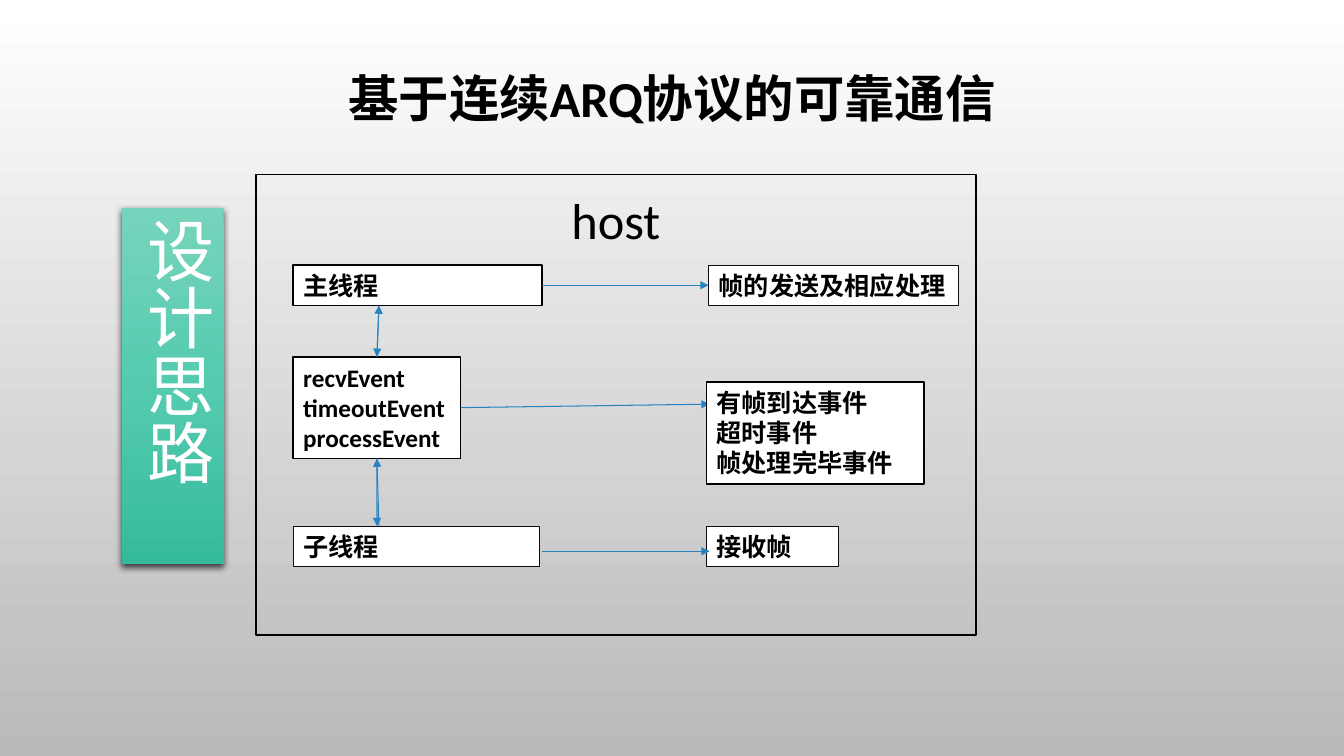
from dataclasses import dataclass

from lxml.etree import _Element
from pptx import Presentation
from pptx.dml.color import RGBColor
from pptx.dml.fill import FillFormat
from pptx.enum.shapes import MSO_CONNECTOR, MSO_SHAPE
from pptx.enum.text import MSO_ANCHOR, MSO_AUTO_SIZE, PP_ALIGN
from pptx.oxml import parse_xml
from pptx.oxml.ns import nsdecls, qn
from pptx.shapes.autoshape import Shape
from pptx.slide import Slide
from pptx.util import Pt

RECT = MSO_SHAPE.RECTANGLE
STRAIGHT = MSO_CONNECTOR.STRAIGHT
TOP = MSO_ANCHOR.TOP
GROW = MSO_AUTO_SIZE.SHAPE_TO_FIT_TEXT
FIXED = MSO_AUTO_SIZE.NONE
LEFT, CENTER = PP_ALIGN.LEFT, PP_ALIGN.CENTER
SITE_TOP, SITE_LEFT, SITE_BOTTOM, SITE_RIGHT = range(4)

FONT = "Calibri"
COLORS = {
    "black": "000000", "white": "FFFFFF", "edge": "0D0D0D", "arrow": "2683BF",
    "gray": "B9B9B9", "mint": "77D4BC", "jade": "54CBAF", "teal": "36BA9C",
}
THIN, THICK = 0.75, 1.25
LINE, PAD = 21.8, 7.2  # height of a text line, sum of the insets

Point = tuple[float, float]


@dataclass
class Box:
    name: str
    left: float
    top: float
    width: float
    lines: list[str]
    edge: str = "edge"
    weight: float = THIN


@dataclass
class Arrow:
    start: Point
    end: Point
    source: tuple[str, int] | None = None
    target: tuple[str, int] | None = None


BOXES = [
    Box("main", 209.5, 189.3, 177.8, ["主线程"], "black", THICK),
    Box("send", 506.2, 189.3, 178.6, ["帧的发送及相应处理"]),
    Box("receive", 504.7, 375.8, 94.3, ["接收帧"]),
    Box("child", 209.5, 375.8, 175.7, ["子线程"]),
    Box("events", 209.5, 254.9, 119.5,
        ["recvEvent", "timeoutEvent", "processEvent"], "black", THICK),
]
MEANING = Box("meaning", 504.7, 272.9, 155.5,
              ["有帧到达事件", "超时事件", "帧处理完毕事件"], "black", THICK)

MID, SIDE = 269.3, 270.7
ARROWS = [
    Arrow((387.3, 203), (506.2, 203.8), ("main", SITE_RIGHT), ("send", SITE_LEFT)),
    Arrow((387.3, 393.8), (506.9, 393.8)),
    Arrow((329, 291.6), (506.9, 288.7), ("events", SITE_RIGHT)),
    Arrow((SIDE, 218.2), (MID, 254.9), None, ("events", SITE_TOP)),
    Arrow((MID, 254.9), (SIDE, 218.2), ("events", SITE_TOP)),
    Arrow((MID, 327.6), (MID, 375.8), ("events", SITE_BOTTOM)),
    Arrow((SIDE, 375.8), (MID, 327.6), None, ("events", SITE_BOTTOM)),
]


def color(name: str) -> RGBColor:
    return RGBColor.from_string(COLORS[name])


def shade(fill: FillFormat, root: _Element, names: list[str]) -> None:
    """Fill from top to bottom with evenly spaced colours."""
    fill.gradient()
    fill.gradient_angle = 270
    stops = root.find(".//" + qn("a:gsLst"))
    stops.clear()
    for i, name in enumerate(names):
        pos = 100000 * i // (len(names) - 1)
        stops.append(parse_xml(
            f'<a:gs {nsdecls("a")} pos="{pos}"><a:srgbClr val="{COLORS[name]}"/></a:gs>'))


def write(shape: Shape, lines: list[str], size: float, align: PP_ALIGN,
          ink: str = "black", bold: bool = False) -> None:
    frame = shape.text_frame
    frame.word_wrap = True
    frame.vertical_anchor = TOP
    frame.auto_size = GROW
    frame.text = "\n".join(lines)
    for para in frame.paragraphs:
        para.alignment = align
        para.font.name = FONT
        para.font.size = Pt(size)
        para.font.bold = bold
        para.font.color.rgb = color(ink)


def add_rect(slide: Slide, left: float, top: float, width: float, height: float) -> Shape:
    shape = slide.shapes.add_shape(RECT, Pt(left), Pt(top), Pt(width), Pt(height))
    shape.shadow.inherit = False
    return shape


def add_label(slide: Slide, left: float, top: float, width: float, height: float,
              text: str, bold: bool = False) -> Shape:
    label = slide.shapes.add_textbox(Pt(left), Pt(top), Pt(width), Pt(height))
    write(label, [text], 36, CENTER, bold=bold)
    return label


def outline(shape: Shape, edge: str, weight: float) -> None:
    shape.line.color.rgb = color(edge)
    shape.line.width = Pt(weight)


def add_box(slide: Slide, box: Box) -> Shape:
    height = LINE * len(box.lines) + PAD
    shape = add_rect(slide, box.left, box.top, box.width, height)
    shape.fill.solid()
    shape.fill.fore_color.rgb = color("white")
    outline(shape, box.edge, box.weight)
    write(shape, box.lines, 18, LEFT, bold=True)
    return shape


def add_arrow(slide: Slide, arrow: Arrow, shapes: dict[str, Shape]) -> None:
    ends = [Pt(v) for v in arrow.start + arrow.end]
    line = slide.shapes.add_connector(STRAIGHT, *ends)
    if arrow.source:
        name, site = arrow.source
        line.begin_connect(shapes[name], site)
    if arrow.target:
        name, site = arrow.target
        line.end_connect(shapes[name], site)
    line.line.color.rgb = color("arrow")
    line.line.width = Pt(THIN)
    props = line.element.spPr
    props.find(qn("a:ln")).append(
        parse_xml(f'<a:tailEnd {nsdecls("a")} type="triangle"/>'))
    props.append(parse_xml(f'<a:effectLst {nsdecls("a")}/>'))


def add_banner(slide: Slide) -> None:
    """Draw the vertical heading at the left."""
    banner = add_rect(slide, 87.1, 148.3, 72.7, 254.9)
    shade(banner.fill, banner.element, ["mint", "jade", "teal"])
    banner.line.fill.background()
    write(banner, ["设计思路"], 48, CENTER, "white")
    banner.element.find(".//" + qn("a:bodyPr")).set("vert", "eaVert")
    banner.element.spPr.find(qn("a:effectLst")).append(parse_xml(
        f'<a:outerShdw {nsdecls("a")} blurRad="{Pt(5)}" dist="{Pt(2)}" dir="5400000">'
        f'<a:srgbClr val="{COLORS["black"]}"><a:alpha val="69000"/></a:srgbClr>'
        '</a:outerShdw>'))


def main() -> None:
    deck = Presentation()
    deck.slide_width, deck.slide_height = Pt(960), Pt(540)
    slide = deck.slides.add_slide(deck.slide_layouts[6])
    shade(slide.background.fill, slide.element, ["white", "gray"])

    add_banner(slide)
    shapes = {box.name: add_box(slide, box) for box in BOXES}
    title = add_label(slide, 72, 49, 816, 126, "基于连续ARQ协议的可靠通信", True)
    title.text_frame.auto_size = FIXED
    title.text_frame.paragraphs[0].line_spacing = 0.9

    host = add_rect(slide, 182.9, 124.6, 514.1, 329)
    host.fill.background()
    outline(host, "black", THICK)
    add_label(slide, 375.1, 131.8, 129.6, 51.1, "host")

    for arrow in ARROWS:
        add_arrow(slide, arrow, shapes)
    add_box(slide, MEANING)
    deck.save("out.pptx")


if __name__ == "__main__":
    main()
